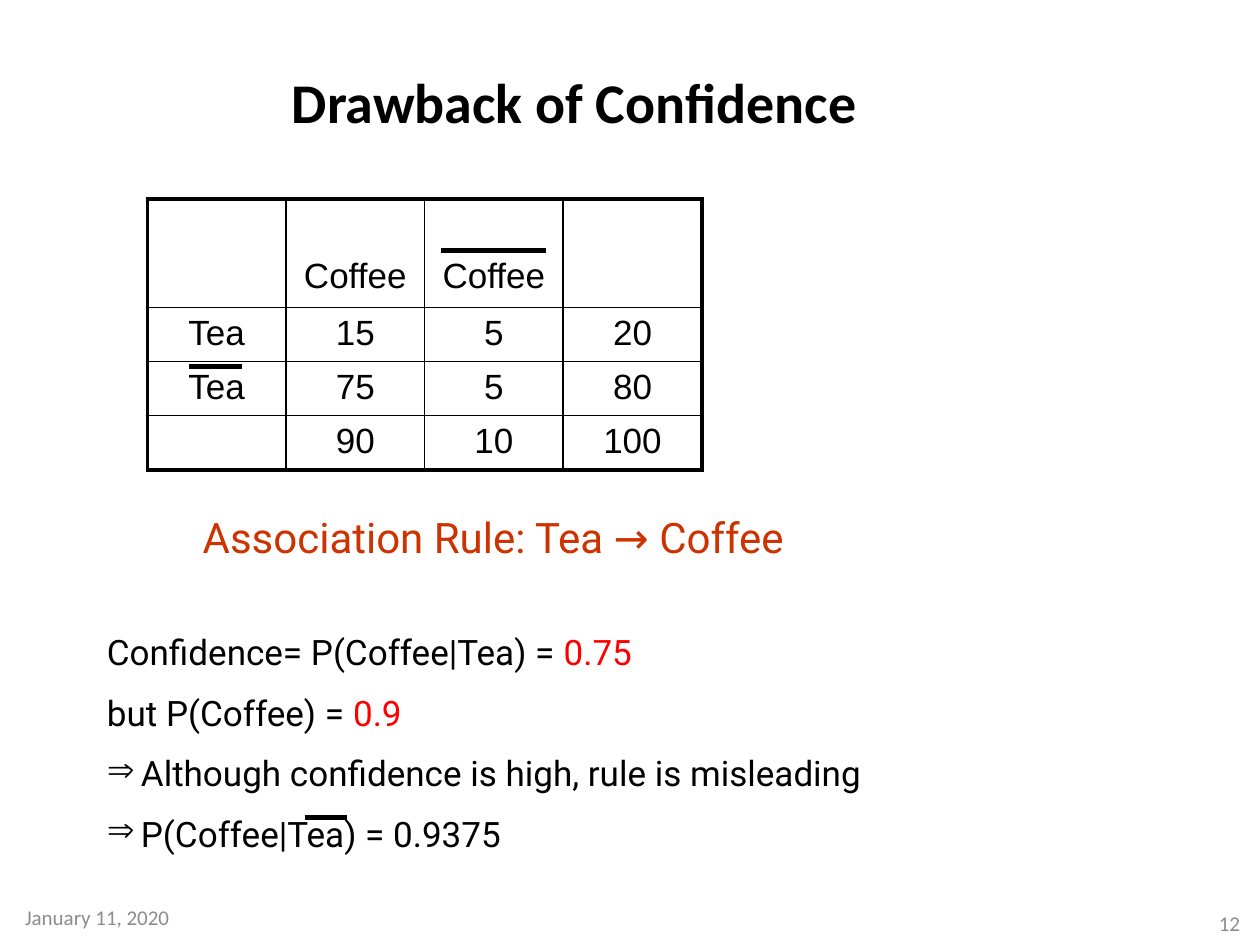
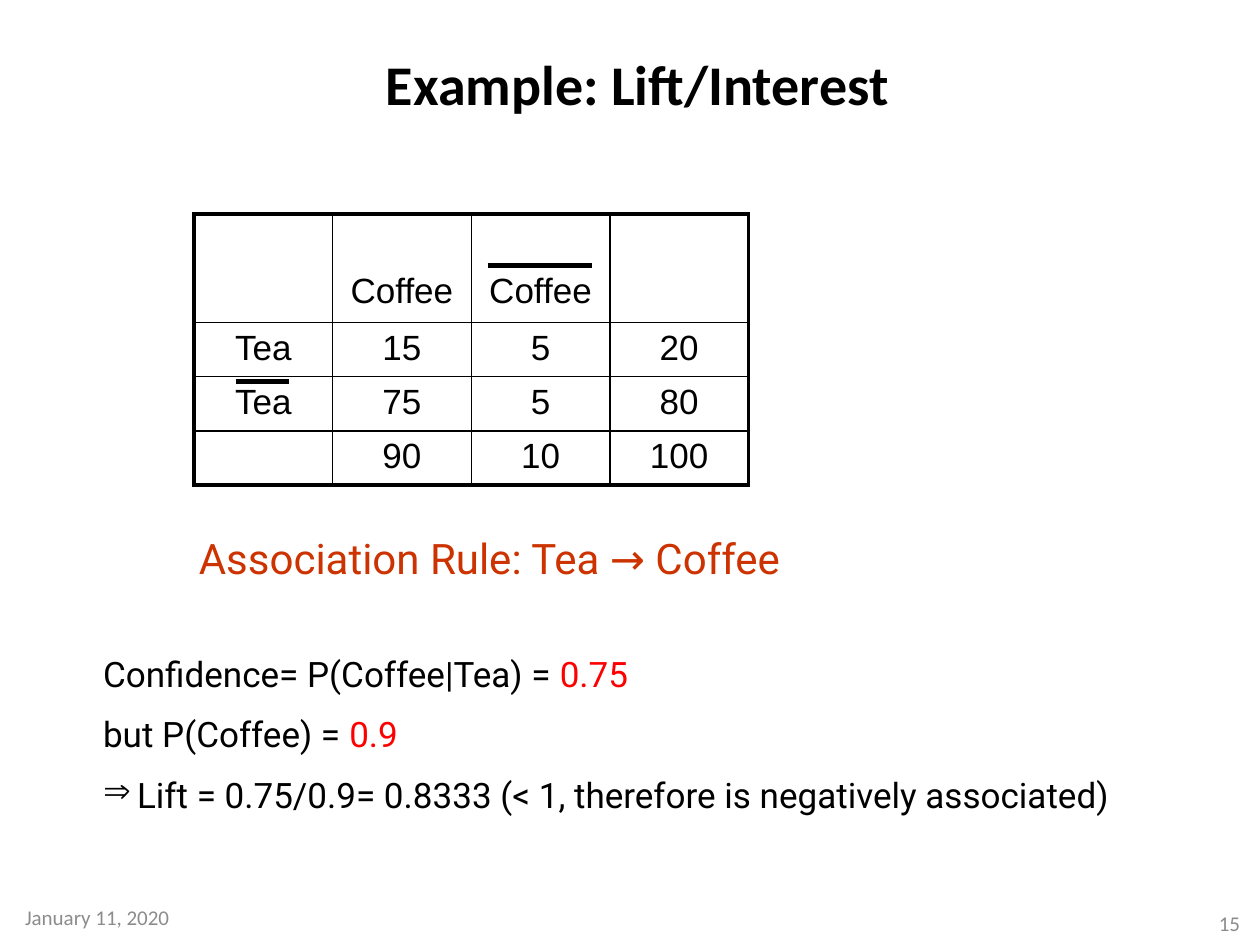
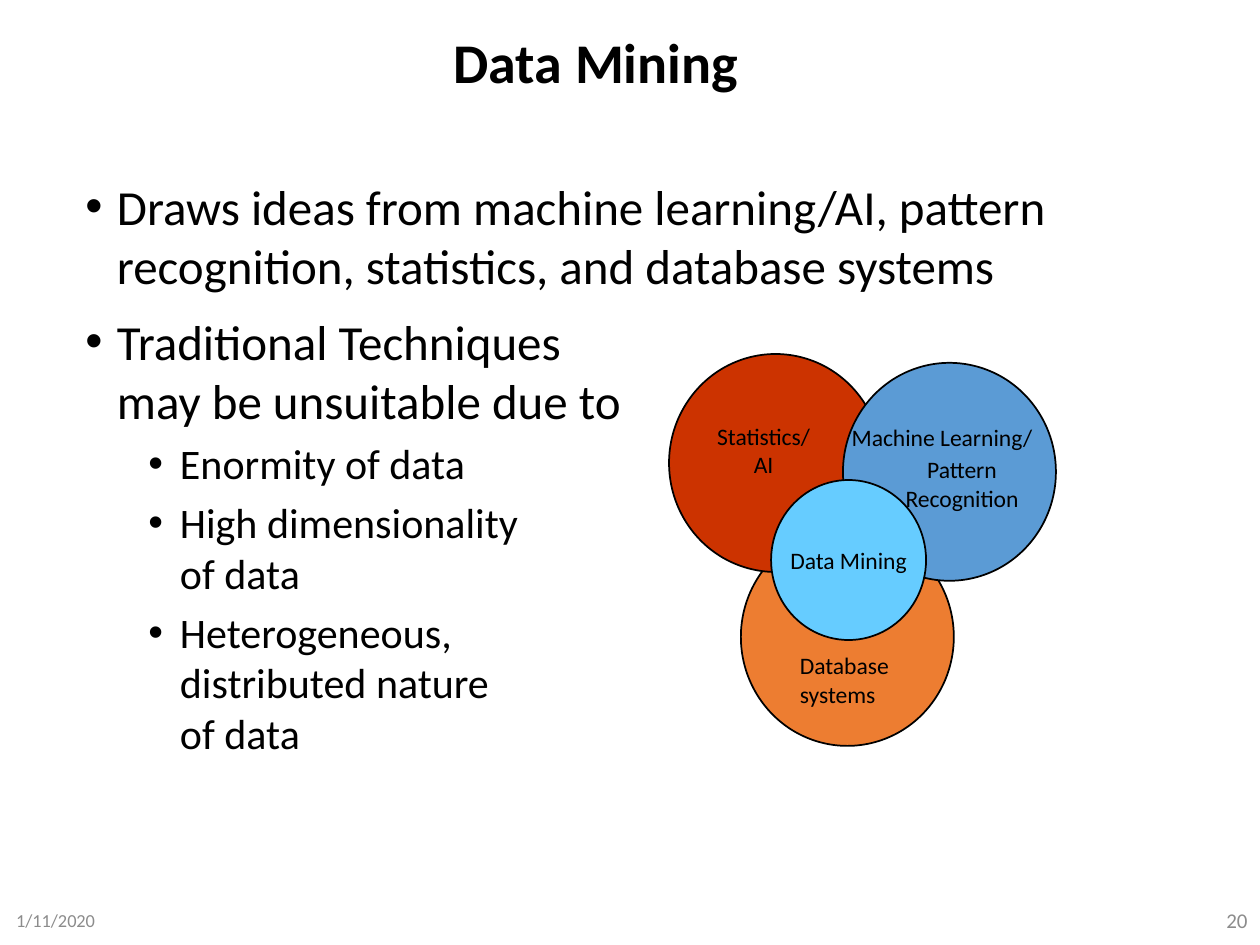
from dataclasses import dataclass

import pptx
import pptx.dml.color
import pptx.enum.shapes
import pptx.enum.text
import pptx.oxml
import pptx.oxml.ns
import pptx.util
from pptx.util import Inches, Pt

ALIGN = pptx.enum.text.PP_ALIGN
ANCHOR = pptx.enum.text.MSO_ANCHOR
AUTO = pptx.enum.text.MSO_AUTO_SIZE
NS = pptx.oxml.ns.nsdecls("a")

COLORS = {
    "ink": "000000",
    "muted": "8C8C8C",
    "rule": "CC3300",
    "value": "FF0000",
    "statistics": "CC3300",
    "learning": "5B9BD5",
    "database": "ED7D31",
    "mining": "66CCFF",
}
COUNTS = [
    ["", "Coffee", "Coffee", ""],
    ["Tea", "15", "5", "20"],
    ["Tea", "75", "5", "80"],
    ["", "90", "10", "100"],
]
COL_WIDTH, ROW_HEIGHTS = 1.1, [0.86, 0.43, 0.43, 0.43]
THIN, THICK = 1, 2.25


@dataclass
class Box:
    left: float
    top: float
    width: float
    height: float

    def emu(self) -> list:
        return [Inches(v) for v in (self.left, self.top, self.width, self.height)]


@dataclass
class Label:
    """A text on one slide; each entry of lines is one paragraph."""
    box: Box
    lines: list
    size: float = 13.5
    align: ALIGN = ALIGN.LEFT
    color: str = "ink"
    anchor: ANCHOR = ANCHOR.TOP
    margin: float = 0.1
    gap: float = 0


@dataclass
class Circle:
    box: Box
    fill: str


@dataclass
class Line:
    """One line of the reasoning below the table."""
    text: str
    value: str = ""
    arrow: bool = False


@dataclass
class RuleSlide:
    title: str
    title_box: Box
    table_at: tuple
    rule_box: Box
    lines: list
    page: str


def rgb(name: str) -> pptx.dml.color.RGBColor:
    return pptx.dml.color.RGBColor.from_string(COLORS[name])


def style(p, size: float, font: str = "Calibri", color: str = "ink") -> None:
    for r in p.runs:
        r.font.size = Pt(size)
        r.font.name = font
        r.font.color.rgb = rgb(color)


def set_bullet(p, char: str, font: str, left: float, hang: float) -> None:
    pPr = p._p.get_or_add_pPr()
    pPr.set("marL", str(Inches(left)))
    pPr.set("indent", str(-Inches(hang)))
    pPr.append(pptx.oxml.parse_xml(f'<a:buFont {NS} typeface="{font}"/>'))
    pPr.append(pptx.oxml.parse_xml(f'<a:buChar {NS} char="{char}"/>'))


def add_paragraph(tf, first: bool):
    return tf.paragraphs[0] if first else tf.add_paragraph()


def add_titled_slide(prs, title: str, box: Box):
    s = prs.slides.add_slide(prs.slide_layouts[5])
    sp = s.shapes.title
    sp.left, sp.top, sp.width, sp.height = box.emu()
    tf = sp.text_frame
    tf.text = title
    tf.auto_size = AUTO.NONE
    tf.vertical_anchor = ANCHOR.MIDDLE
    p = tf.paragraphs[0]
    p.alignment = ALIGN.CENTER
    p.line_spacing = 0.9
    style(p, 32)
    p.runs[0].font.bold = True
    return s


def add_text_frame(s, box: Box):
    sp = s.shapes.add_textbox(*box.emu())
    sp.text_frame.word_wrap = True
    return sp, sp.text_frame


def add_label(s, label: Label) -> None:
    sp, tf = add_text_frame(s, label.box)
    tf.margin_left = tf.margin_right = Inches(label.margin)
    tf.vertical_anchor = label.anchor
    for i, text in enumerate(label.lines):
        p = add_paragraph(tf, i == 0)
        p.text = text
        p.alignment = label.align if i == 0 else ALIGN.CENTER
        p.space_before = Pt(label.gap if i else 0)
        style(p, label.size, color=label.color)


def add_footer(s, date: Label, page: Label) -> None:
    for label in (date, page):
        label.color, label.anchor = "muted", ANCHOR.MIDDLE
        add_label(s, label)


def add_bar(s, left: float, top: float, width: float):
    """Draw the negation bar above a term."""
    y = Inches(top)
    line = s.shapes.add_connector(pptx.enum.shapes.MSO_CONNECTOR.STRAIGHT,
                                  Inches(left), y, Inches(left + width), y)
    line.line.color.rgb = rgb("ink")
    line.line.width = Pt(3)
    line._element.spPr.append(pptx.oxml.parse_xml(f"<a:effectLst {NS}/>"))
    return line


def set_borders(cell, widths: dict) -> None:
    tcPr = cell._tc.get_or_add_tcPr()
    for side, width in widths.items():
        tcPr.append(pptx.oxml.parse_xml(
            f'<a:ln{side} {NS} w="{Pt(width)}"><a:solidFill>'
            f'<a:srgbClr val="{COLORS["ink"]}"/></a:solidFill></a:ln{side}>'))


def add_counts(s, left: float, top: float) -> None:
    """Add the tea and coffee table with its two negation bars."""
    n_rows, n_cols = len(COUNTS), len(COUNTS[0])
    box = Box(left, top, COL_WIDTH * n_cols, sum(ROW_HEIGHTS))
    table = s.shapes.add_table(n_rows, n_cols, *box.emu()).table
    table.first_row = table.horz_banding = False
    for column in table.columns:
        column.width = Inches(COL_WIDTH)
    for i, row in enumerate(COUNTS):
        table.rows[i].height = Inches(ROW_HEIGHTS[i])
        for j, text in enumerate(row):
            cell = table.cell(i, j)
            set_borders(cell, {
                "L": THICK if j == 0 else THIN,
                "R": THICK if j == n_cols - 1 else THIN,
                "T": THICK if i == 0 else THIN,
                "B": THICK if i == n_rows - 1 else THIN,
            })
            cell.fill.background()
            if i == 0:
                cell.vertical_anchor = ANCHOR.BOTTOM
                cell.margin_bottom = Inches(0.09)
            if text:
                p = cell.text_frame.paragraphs[0]
                p.text = text
                p.alignment = ALIGN.CENTER
                style(p, 20, "Arial")
    add_bar(s, left + 2.33, top + 0.41, 0.83)
    add_bar(s, left + 0.33, top + 1.33, 0.42)


def add_reasoning(s, box: Box, lines: list):
    sp, tf = add_text_frame(s, box)
    p = tf.paragraphs[0]
    p.text = "Association Rule: Tea → Coffee"
    p._p.get_or_add_pPr().set("indent", str(Inches(0.76)))
    style(p, 24, "Roboto", "rule")
    for i, line in enumerate(lines):
        p = tf.add_paragraph()
        p.text = line.text
        p.space_before = Pt(10.5 if i else 39.5)
        style(p, 20, "Roboto")
        if line.value:
            r = p.add_run()
            r.text = line.value
            r.font.size = Pt(20)
            r.font.name = "Roboto"
            r.font.color.rgb = rgb("value")
        if line.arrow:
            set_bullet(p, "⇒", "Symbol", 0.27, 0.27)
    return sp


def add_rule_slide(prs, spec_slide: RuleSlide):
    s = add_titled_slide(prs, spec_slide.title, spec_slide.title_box)
    add_counts(s, *spec_slide.table_at)
    reasoning = add_reasoning(s, spec_slide.rule_box, spec_slide.lines)
    add_footer(s, Label(Box(0.1, 7.14, 2.25, 0.28), ["January 11, 2020"], 12),
               Label(Box(7.69, 7.2, 2.25, 0.25), [spec_slide.page], 12, ALIGN.RIGHT))
    return s, reasoning


def add_circle(s, circle: Circle):
    sp = s.shapes.add_shape(pptx.enum.shapes.MSO_SHAPE.OVAL, *circle.box.emu())
    sp.shadow.inherit = False
    sp.fill.solid()
    sp.fill.fore_color.rgb = rgb(circle.fill)
    sp.line.color.rgb = rgb("ink")
    sp.line.width = Pt(1)
    return sp


def add_mining_slide(prs) -> None:
    s = add_titled_slide(prs, "Data Mining", Box(0.42, 0.22, 8.62, 0.6))

    points = [
        (0, "Draws ideas from machine learning/AI, pattern recognition, "
            "statistics, and database systems"),
        (0, "Traditional Techniques\vmay be unsuitable due to"),
        (1, "Enormity of data"),
        (1, "High dimensionality\vof data"),
        (1, "Heterogeneous,\vdistributed nature\vof data"),
    ]
    sp, tf = add_text_frame(s, Box(0.58, 1.35, 8.62, 5.24))
    for i, (level, text) in enumerate(points):
        p = add_paragraph(tf, i == 0)
        p.text = text
        p.level = level
        p.space_before = Pt((10, 5)[level] if i else 0)
        style(p, (28, 24)[level])
        set_bullet(p, "•", "Arial", (0.25, 0.75)[level], 0.25)

    for circle in (
        Circle(Box(5.88, 4.19, 1.69, 1.73), "database"),
        Circle(Box(5.31, 2.81, 1.69, 1.73), "statistics"),
        Circle(Box(6.69, 2.88, 1.69, 1.73), "learning"),
    ):
        add_circle(s, circle)
    add_label(s, Label(Box(6.76, 3.31, 1.75, 0.82),
                       ["Machine Learning/", "Pattern\vRecognition"], margin=0, gap=2))
    add_label(s, Label(Box(5.5, 3.3, 1.12, 0.56), ["Statistics/\vAI"], align=ALIGN.CENTER))

    center = add_circle(s, Circle(Box(6.12, 3.81, 1.23, 1.27), "mining"))
    tf = center.text_frame
    tf.text = "Data Mining"
    tf.word_wrap = False
    tf.vertical_anchor = ANCHOR.MIDDLE
    tf.paragraphs[0].alignment = ALIGN.CENTER
    style(tf.paragraphs[0], 13.5)

    add_label(s, Label(Box(6.25, 5.12, 1.19, 0.56), ["Database systems"]))
    add_footer(s, Label(Box(0.03, 7.21, 2.25, 0.18), ["1/11/2020"], 10.5),
               Label(Box(7.67, 7.1, 2.33, 0.4), ["20"], 12, ALIGN.RIGHT))


def main() -> None:
    prs = pptx.Presentation()
    prs.slide_width, prs.slide_height = Inches(10), Inches(7.5)

    shared = [
        Line("Confidence= P(Coffee|Tea) = ", "0.75"),
        Line("but P(Coffee) = ", "0.9"),
    ]
    s, reasoning = add_rule_slide(prs, RuleSlide(
        "Drawback of Confidence", Box(0.25, 0.58, 8.62, 0.52), (1.17, 1.58),
        Box(0.75, 4.01, 8.08, 2.9),
        shared + [
            Line("Although confidence is high, rule is misleading", arrow=True),
            Line("P(Coffee|Tea) = 0.9375", arrow=True),
        ], "12"))
    s.shapes.add_group_shape([reasoning, add_bar(s, 2.42, 6.49, 0.33)])

    add_rule_slide(prs, RuleSlide(
        "Example: Lift/Interest", Box(0.75, 0.48, 8.62, 0.43), (1.54, 1.7),
        Box(0.72, 4.18, 8.83, 2.4),
        shared + [
            Line("Lift = 0.75/0.9= 0.8333 (< 1, therefore is negatively associated)",
                 arrow=True),
        ], "15"))

    add_mining_slide(prs)
    prs.save("out.pptx")


if __name__ == "__main__":
    main()
